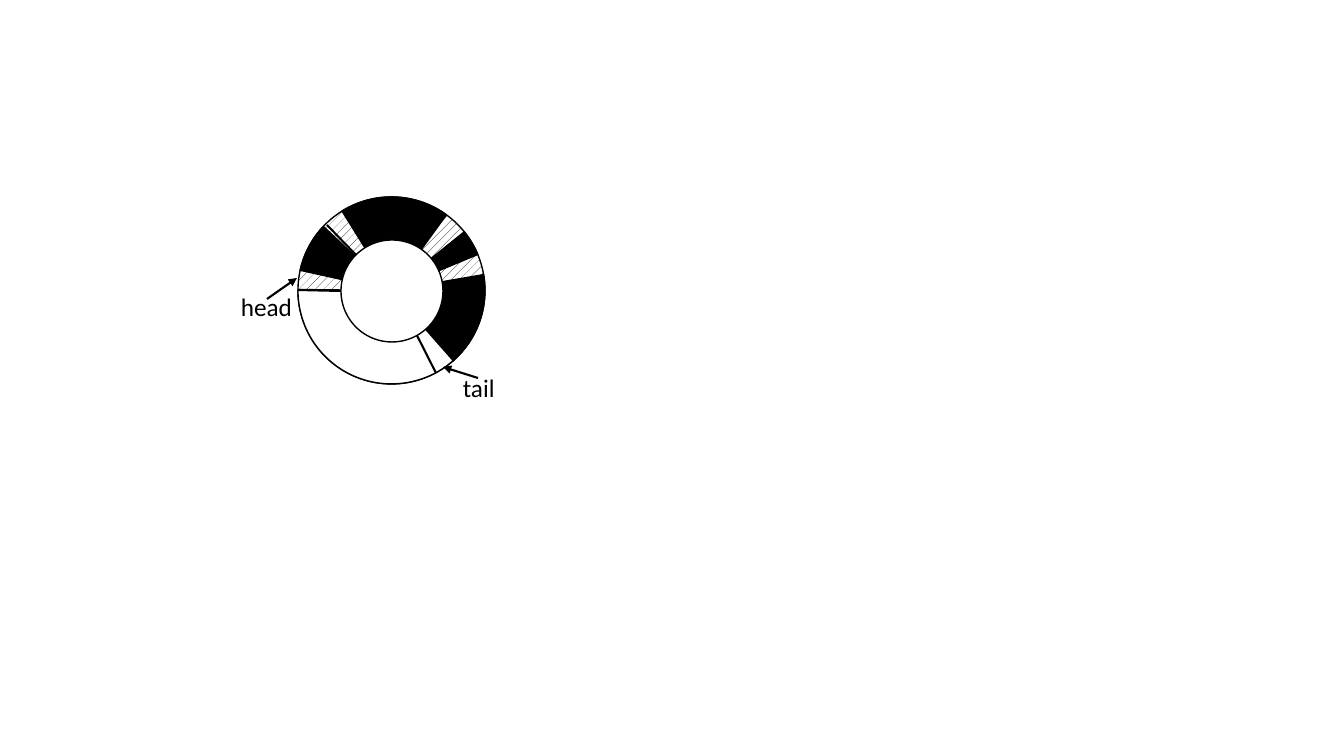
"""Builds a slide with a ring buffer whose head and tail are labelled."""
from pptx import Presentation
from pptx.dml.color import RGBColor
from pptx.enum.dml import MSO_PATTERN
from pptx.enum.shapes import MSO_CONNECTOR, MSO_SHAPE
from pptx.enum.text import MSO_AUTO_SIZE
from pptx.oxml.ns import qn
from pptx.util import Emu, Inches, Pt
from lxml.etree import SubElement

SCALE = 914400 / 100.8
BLACK, WHITE = "000000", "FFFFFF"
RING = (298, 197, 187, 187)
HOLE = (341, 240, 102, 102)


def add_outlined(kind, bounds, fill_color):
    shape = page.shapes.add_shape(kind, *[Emu(round(value * SCALE)) for value in bounds])
    shape.shadow.inherit = False
    shape.fill.solid()
    shape.fill.fore_color.rgb = RGBColor.from_string(fill_color)
    shape.line.color.rgb = RGBColor.from_string(BLACK)
    shape.line.width = Pt(1)
    return shape


def add_line(ends, arrow=False):
    line = page.shapes.add_connector(
        MSO_CONNECTOR.STRAIGHT, *[Emu(round(value * SCALE)) for value in ends])
    line.line.color.rgb = RGBColor.from_string(BLACK)
    line.line.width = Pt(1.5)
    properties = line._element.spPr
    if arrow:
        SubElement(properties.find(qn("a:ln")), qn("a:tailEnd"), type="triangle")
    SubElement(properties, qn("a:effectLst"))


deck = Presentation()
deck.slide_width, deck.slide_height = Inches(13.333), Inches(7.5)
page = deck.slides.add_slide(deck.slide_layouts[6])

ring = add_outlined(MSO_SHAPE.OVAL, RING, WHITE)
ring.fill.patterned()
ring.fill.pattern = MSO_PATTERN.PERCENT_20
ring.fill.fore_color.rgb = RGBColor.from_string(BLACK)
ring.fill.back_color.rgb = RGBColor.from_string(WHITE)

sectors = [
    (47.78, 180.53, WHITE),
    (192.45, 223.25, BLACK),
    (238.1, 306.05, BLACK),
    (321.17, 337.38, BLACK),
    (350.27, 48.65, BLACK),
]
for start, end, color in sectors:
    sector = add_outlined(MSO_SHAPE.PIE, RING, color)
    sector.adjustments[0] = start * 0.6
    sector.adjustments[1] = end * 0.6

for divider in [(327, 225, 356, 255), (298, 290, 341, 291), (394, 290, 436, 373)]:
    add_line(divider)
add_outlined(MSO_SHAPE.OVAL, HOLE, WHITE)

labels = [
    ("head", (231, 286, 73, 40), (267, 299, 297, 278)),
    ("tail", (453, 367, 52, 40), (478, 378, 443, 367)),
]
for word, bounds, pointer in labels:
    box = page.shapes.add_textbox(*[Emu(round(value * SCALE)) for value in bounds])
    box.text_frame.text = word
    box.text_frame.word_wrap = False
    box.text_frame.auto_size = MSO_AUTO_SIZE.SHAPE_TO_FIT_TEXT
    span = box.text_frame.paragraphs[0].runs[0]
    span.font.name = "Calibri"
    span.font.size = Pt(18)
    span.font.color.rgb = RGBColor.from_string(BLACK)
    add_line(pointer, arrow=True)

deck.save("out.pptx")
